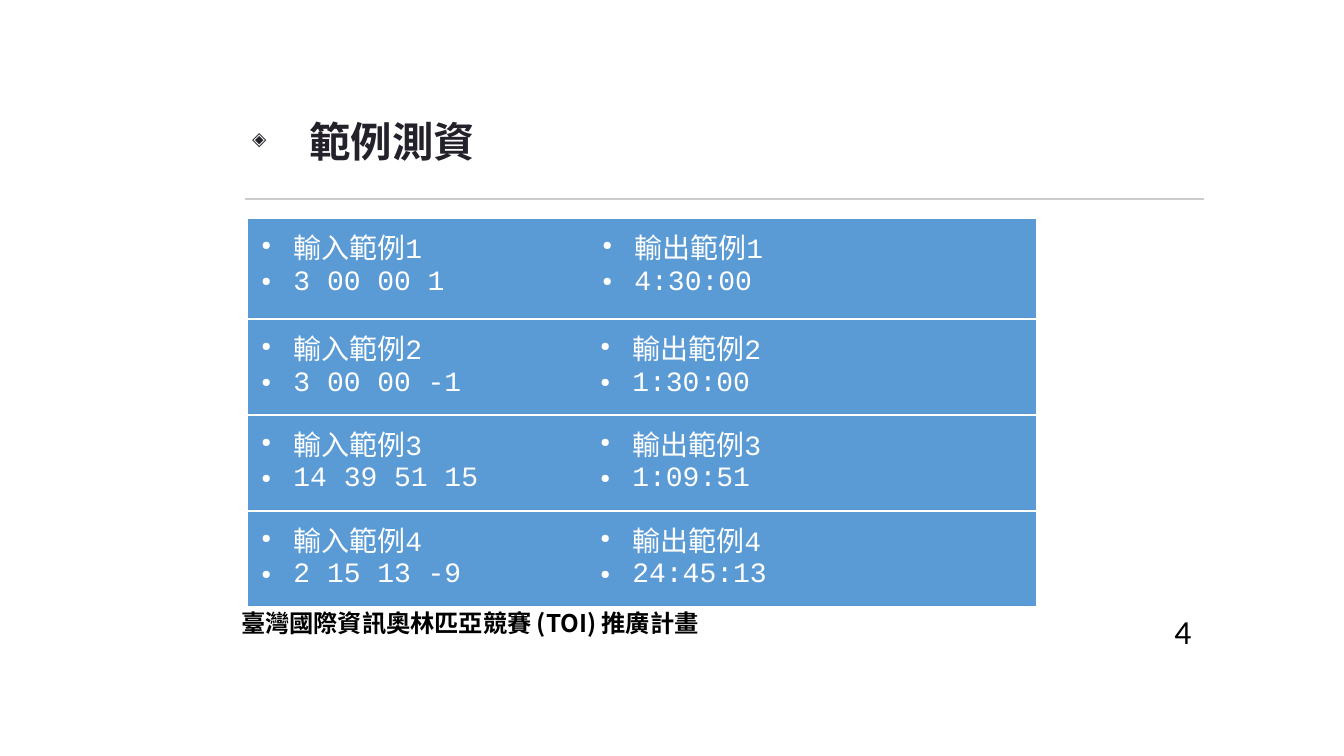
import pptx
import pptx.dml.color
import pptx.enum.shapes
import pptx.enum.text
import pptx.oxml
import pptx.oxml.ns
import pptx.util

PX = 914400 / 134.4
THEME = {
    "ink": "25212A", "black": "000000", "white": "FFFFFF",
    "rule": "CCCCCC", "cell": "5B9BD5",
    "title_size": 22.2, "page_size": 18, "sample_size": 15, "footer_size": 13,
    "title_font": "Cambria", "page_font": "Calibri",
    "sample_font": "Courier New", "footer_font": "Noto Sans CJK SC",
}
NO_GRID_STYLE = "{2D5ABB26-0587-4C30-8999-92F81FD0307C}"
qn = pptx.oxml.ns.qn


def px(*lengths):
    return [pptx.util.Emu(round(length * PX)) for length in lengths]


def write(paragraph, text, part, color, bold=False, bullet=None, margin=0, hang=0):
    if bullet:
        properties = paragraph._p.get_or_add_pPr()
        left, indent = px(margin, -hang)
        properties.set("marL", str(left))
        properties.set("indent", str(indent))
        bullet_color = pptx.oxml.ns.nsdecls("a")
        for xml in (
            f'<a:buClr {bullet_color}><a:srgbClr val="{THEME[color]}"/></a:buClr>',
            f'<a:buSzPct {bullet_color} val="45000"/>',
            f'<a:buChar {bullet_color} char="{bullet}"/>',
        ):
            properties.append(pptx.oxml.parse_xml(xml))
    run = paragraph.add_run()
    run.text = text
    run.font.name = THEME[part + "_font"]
    run.font.size = pptx.util.Pt(THEME[part + "_size"])
    run.font.bold = bold
    run.font.color.rgb = pptx.dml.color.RGBColor.from_string(THEME[color])


presentation = pptx.Presentation()
presentation.slide_width, presentation.slide_height = px(1344, 756)
slide = presentation.slides.add_slide(presentation.slide_layouts[6])
shapes = slide.shapes

# Footer
footer = shapes.add_textbox(*px(228, 602, 503, 43)).text_frame
footer.word_wrap = False
write(footer.paragraphs[0], "臺灣國際資訊奧林匹亞競賽 (TOI) 推廣計畫", "footer", "black", bold=True)

# Rule under the title
rule = shapes.add_connector(
    pptx.enum.shapes.MSO_CONNECTOR.STRAIGHT, *px(245, 199, 1204, 199))
rule.line.color.rgb = pptx.dml.color.RGBColor.from_string(THEME["rule"])
rule.line.width = pptx.util.Pt(0.75)
rule.element.spPr.append(
    pptx.oxml.parse_xml(f'<a:effectLst {pptx.oxml.ns.nsdecls("a")}/>'))

# Page number and title
page = shapes.add_textbox(*px(1161, 602, 81, 58)).text_frame
title = shapes.add_textbox(*px(226, 113, 935, 70)).text_frame
for frame in (page, title):
    frame.word_wrap = True
    frame.margin_top, frame.margin_bottom = px(13, 13)
page.vertical_anchor = pptx.enum.text.MSO_ANCHOR.MIDDLE
write(page.paragraphs[0], "4", "page", "black")
write(title.paragraphs[0], " 範例測資", "title", "ink", bold=True,
      bullet="◈", margin=61, hang=48)
title.paragraphs[0].line_spacing = 0.8

# Sample tests: one table each, input on the left and output on the right
samples = [
    ("3 00 00 1", "4:30:00"),
    ("3 00 00 -1", "1:30:00"),
    ("14 39 51 15", "1:09:51"),
    ("2 15 13 -9", "24:45:13"),
]
for number, sample in enumerate(samples, start=1):
    first = number == 1
    top = 219 if first else 320 + 96 * (number - 2)
    height = 99 if first else 94
    input_width = 341 if first else 339
    table_frame = shapes.add_table(1, 2, *px(248, top, 788, height))
    table_frame.element.find(".//" + qn("a:tableStyleId")).text = NO_GRID_STYLE
    table = table_frame.table
    table.first_row = table.horz_banding = False
    table.columns[0].width, table.columns[1].width = px(input_width, 788 - input_width)
    for cell, label, values in zip(table.rows[0].cells, ("輸入範例", "輸出範例"), sample):
        cell.fill.solid()
        cell.fill.fore_color.rgb = pptx.dml.color.RGBColor.from_string(THEME["cell"])
        frame = cell.text_frame
        for paragraph, text in (
            (frame.paragraphs[0], f"{label}{number}"),
            (frame.add_paragraph(), values),
        ):
            write(paragraph, text, "sample", "white", bullet="●", margin=32, hang=32)

presentation.save("out.pptx")
